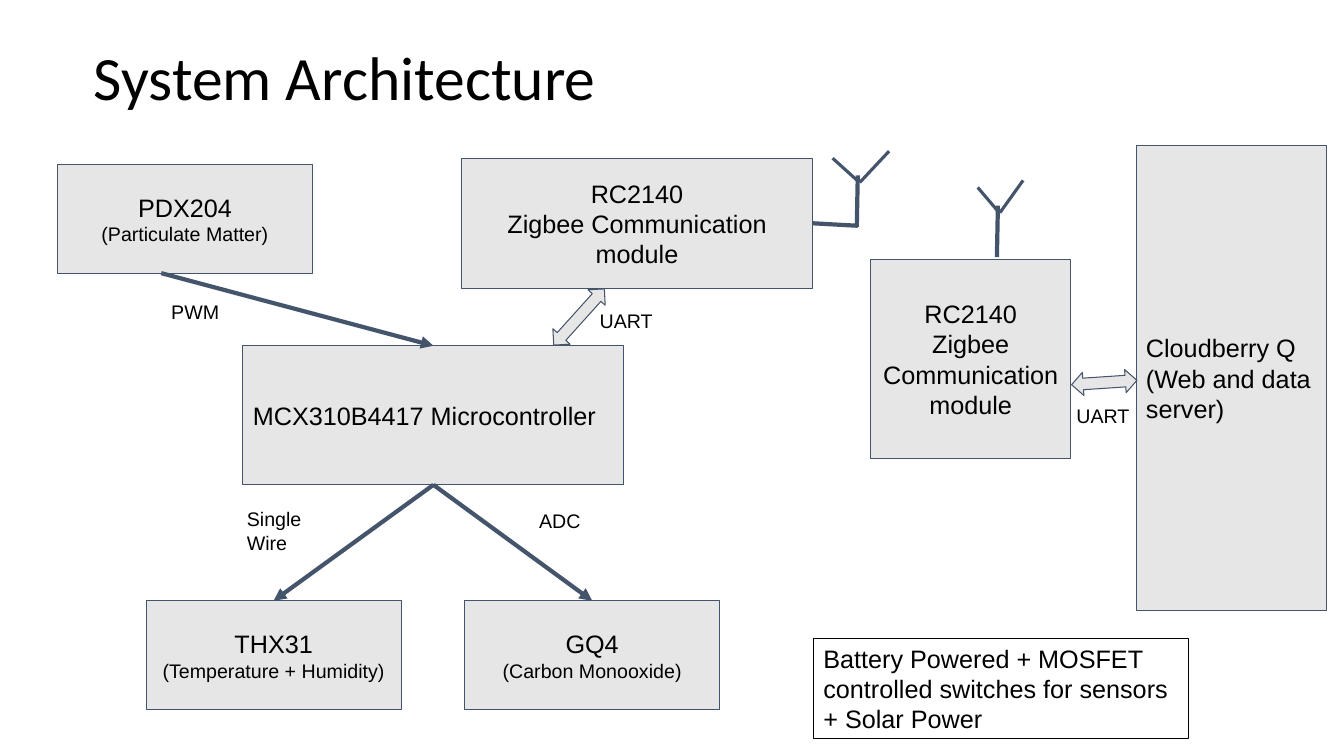
from lxml import etree
from pptx import Presentation
from pptx.dml.color import RGBColor
from pptx.enum.shapes import MSO_CONNECTOR, MSO_SHAPE
from pptx.enum.text import MSO_ANCHOR, PP_ALIGN
from pptx.oxml.ns import qn
from pptx.util import Inches, Pt

RECTANGLE = MSO_SHAPE.RECTANGLE
DOUBLE_ARROW = MSO_SHAPE.LEFT_RIGHT_ARROW
STRAIGHT = MSO_CONNECTOR.STRAIGHT
MIDDLE = MSO_ANCHOR.MIDDLE
LEFT, CENTER = PP_ALIGN.LEFT, PP_ALIGN.CENTER
TOP_SIDE, BOTTOM_SIDE, RIGHT_SIDE = 0, 2, 3

COLUMNS, ROWS = 160, 90
WIDTH, HEIGHT = Inches(13.33), Inches(7.5)
INSET = Inches(0.1)
BLACK, SLATE, GREY = "000000", "44546A", "E7E6E6"
SENSOR_SIZE = (30.36, 12.96)
LABEL_SIZE = (12, 3.24)


def color(value):
    return RGBColor.from_string(value)


def place(column, row):
    return round(column * WIDTH / COLUMNS), round(row * HEIGHT / ROWS)


def write(holder, lines, sizes, align=LEFT, font="Calibri"):
    frame = holder.text_frame
    frame.word_wrap = True
    frame.vertical_anchor = MIDDLE
    frame.margin_left = frame.margin_right = INSET
    frame.margin_top = frame.margin_bottom = INSET
    frame.text = "\n".join(lines)
    for paragraph, size in zip(frame.paragraphs, sizes):
        paragraph.alignment = align
        for run in paragraph.runs:
            run.font.name = font
            run.font.size = Pt(size)
            run.font.color.rgb = color(BLACK)


def add_title(slide, text):
    title = slide.shapes.add_textbox(*place(10, 0.84), *place(138, 17.4))
    write(title, [text], [44])
    title.text_frame.paragraphs[0].line_spacing = 0.9


def add_label(slide, text, position):
    label = slide.shapes.add_textbox(*place(*position), *place(*LABEL_SIZE))
    write(label, [text], [14], font="Arial")


def add_figure(slide, preset, position, size, fill=GREY, outline=SLATE):
    figure = slide.shapes.add_shape(preset, *place(*position), *place(*size))
    figure.shadow.inherit = False
    if fill:
        figure.fill.solid()
        figure.fill.fore_color.rgb = color(fill)
    else:
        figure.fill.background()
    figure.line.color.rgb = color(outline)
    figure.line.width = Pt(0.75)
    return figure


def add_block(slide, lines, position, size, sizes=(18, 18), align=CENTER, **style):
    block = add_figure(slide, RECTANGLE, position, size, **style)
    write(block, lines, sizes, align, "Arial")
    return block


def add_sensor(slide, model, measure, position):
    return add_block(slide, [model, f"({measure})"], position, SENSOR_SIZE, (18, 14))


def add_serial_link(slide, position, size, rotation):
    link = add_figure(slide, DOUBLE_ARROW, position, size)
    link.rotation = rotation


def add_line(slide, start, end, width=3, arrow=False):
    line = slide.shapes.add_connector(STRAIGHT, *place(*start), *place(*end))
    line.line.color.rgb = color(SLATE)
    line.line.width = Pt(width)
    properties = line.line._get_or_add_ln()
    if arrow:
        etree.SubElement(properties, qn("a:tailEnd"), type="triangle")
    etree.SubElement(properties.getparent(), qn("a:effectLst"))
    return line


def add_antenna(slide, column, row, left_tip, right_tip):
    strokes = [
        ((0, 0), (-0.12, 6.12), 3),
        (left_tip, (0, 0.66), 2.25),
        (right_tip, (0.24, 0.84), 2.25),
    ]
    for start, end, width in strokes:
        add_line(
            slide,
            (column + start[0], row + start[1]),
            (column + end[0], row + end[1]),
            width,
        )


def main():
    deck = Presentation()
    deck.slide_width, deck.slide_height = WIDTH, HEIGHT
    slide = deck.slides.add_slide(deck.slide_layouts[6])
    add_title(slide, "System Architecture")

    controller = add_block(
        slide, ["MCX310B4417 Microcontroller"], (28.92, 41.16), (45.36, 16.56), align=LEFT
    )
    climate = add_sensor(slide, "THX31", "Temperature + Humidity", (17.4, 71.52))
    gas = add_sensor(slide, "GQ4", "Carbon Monooxide", (55.32, 71.52))
    add_sensor(slide, "PDX204", "Particulate Matter", (6.84, 19.56))

    radio_lines = ["RC2140", "Zigbee Communication module"]
    radio = add_block(slide, radio_lines, (54.96, 18.84), (41.76, 15.48))
    add_block(slide, radio_lines, (103.68, 30.84), (23.76, 23.76))
    add_block(
        slide,
        ["Cloudberry Q", "(Web and data server)"],
        (135.24, 17.28),
        (22.68, 55.44),
        align=LEFT,
    )
    add_block(
        slide,
        ["Battery Powered + MOSFET controlled switches for sensors + Solar Power"],
        (96.84, 75.96),
        (44.64, 12),
        align=LEFT,
        fill=None,
        outline=BLACK,
    )

    add_serial_link(slide, (64.44, 36.36), (9, 2.76), 312)
    add_serial_link(slide, (127.56, 44.16), (7.8, 2.76), 356.2)

    for sensor, end in ((climate, (32.6, 71.52)), (gas, (70.5, 71.52))):
        wire = add_line(slide, (51.6, 57.72), end, arrow=True)
        wire.begin_connect(controller, BOTTOM_SIDE)
        wire.end_connect(sensor, TOP_SIDE)
    pulse_wire = add_line(slide, (19.2, 32.52), (51.6, 41.16), arrow=True)
    pulse_wire.end_connect(controller, TOP_SIDE)

    for text, position in (
        ("UART", (70.2, 36.6)),
        ("UART", (126.96, 47.88)),
        ("PWM", (19.2, 35.52)),
        ("Single Wire", (28.2, 61.56)),
        ("ADC", (63, 60.36)),
    ):
        add_label(slide, text, position)

    feed = add_line(slide, (96.72, 26.58), (102.12, 26.88))
    feed.begin_connect(radio, RIGHT_SIDE)
    add_antenna(slide, 102.12, 20.88, (-3, -2.04), (3.72, -2.88))
    add_antenna(slide, 118.8, 24.48, (-2.4, -2.16), (3, -3))

    deck.save("out.pptx")


if __name__ == "__main__":
    main()
